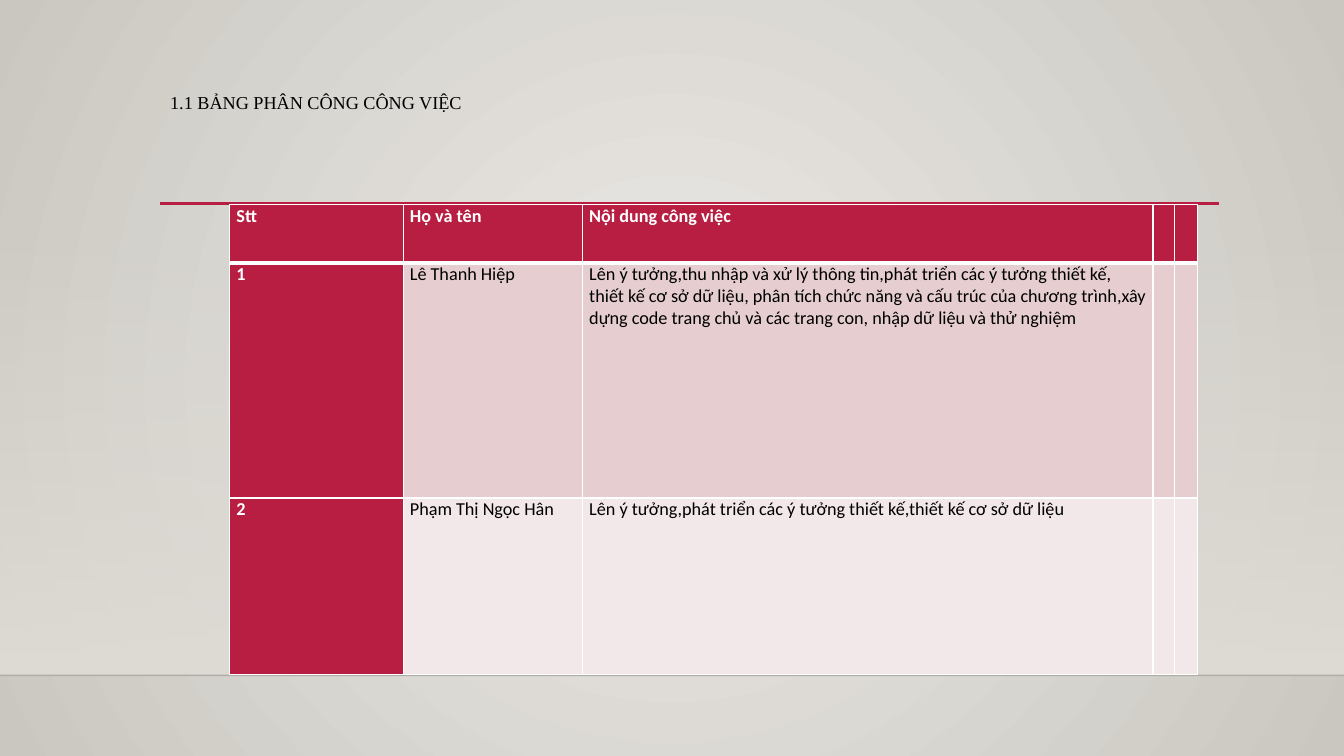
import pptx
import pptx.dml.color
import pptx.enum.shapes
import pptx.enum.text
import pptx.oxml
import pptx.oxml.ns
import pptx.util
from lxml import etree

Cm = pptx.util.Cm
Pt = pptx.util.Pt
qn = pptx.oxml.ns.qn

WIDTH, HEIGHT = 33.87, 19.05
FLOOR = 17.02
CRIMSON, WHITE, BLACK = "B71E42", "FFFFFF", "000000"
BODY_FILLS = ["E6CDCF", "F3E8E9"]
COLUMN_WIDTHS = [4.37, 4.52, 14.38, 0.53, 0.58]
ROW_HEIGHTS = [1.47, 5.92, 4.44]
ASSIGNMENTS = [
    ["Stt", "Họ và tên", "Nội dung công việc"],
    ["1", "Lê Thanh Hiệp",
     "Lên ý tưởng,thu nhập và xử lý thông tin,phát triển các ý tưởng thiết kế, "
     "thiết kế cơ sở dữ liệu, phân tích chức năng và cấu trúc của chương "
     "trình,xây dựng code trang chủ và các trang con, nhập dữ liệu và thử nghiệm"],
    ["2", "Phạm Thị Ngọc Hân",
     "Lên ý tưởng,phát triển các ý tưởng thiết kế,thiết kế cơ sở dữ liệu"],
]


def rgb(color):
    return pptx.dml.color.RGBColor.from_string(color)


def set_opacity(color_element, percent):
    etree.SubElement(color_element, qn("a:alpha"), val=str(percent * 1000))


def set_gradient(fill, start, end):
    fill.gradient()
    for stop, color, position in zip(fill.gradient_stops, (start, end), (0, 1)):
        stop.color.rgb = rgb(color)
        stop.position = position


def add_run(paragraph, text, font_name, color, bold=False):
    run = paragraph.add_run()
    run.text = text
    run.font.name = font_name
    run.font.size = Pt(13)
    run.font.bold = bold
    run.font.color.rgb = rgb(color)


def add_rule(slide, left, top, width, color, weight):
    rule = slide.shapes.add_connector(
        pptx.enum.shapes.MSO_CONNECTOR.STRAIGHT,
        Cm(left), Cm(top), Cm(left + width), Cm(top))
    rule.line.color.rgb = rgb(color)
    rule.line.width = Pt(weight)
    etree.SubElement(rule.element.spPr, qn("a:effectLst"))
    return rule


def paint_background(slide):
    """Radial grey gradient that is lightest in the middle of the slide."""
    fill = slide.background.fill
    set_gradient(fill, "ECEAE7", "CAC7C1")
    linear = next(slide.element.iter(qn("a:lin")))
    radial = etree.Element(qn("a:path"), path="circle")
    etree.SubElement(radial, qn("a:fillToRect"),
                     {side: "50000" for side in "ltrb"})
    linear.getparent().replace(linear, radial)


def add_wall(slide, left, top, width, height):
    """Wash that fades in downwards, closed by a faint floor line."""
    wash = slide.shapes.add_shape(
        pptx.enum.shapes.MSO_SHAPE.RECTANGLE,
        Cm(left), Cm(top), Cm(width), Cm(height))
    wash.shadow.inherit = False
    wash.line.fill.background()
    set_gradient(wash.fill, "DFDBD5", "DFDBD5")
    wash.fill.gradient_angle = 270
    set_opacity(next(wash.element.spPr.iter(qn("a:srgbClr"))), 0)
    floor = add_rule(slide, left, top + height, width, "000001", 1)
    set_opacity(next(floor.element.spPr.iter(qn("a:srgbClr"))), 20)


def add_title(slide, left, top, width, height):
    add_rule(slide, left, top + height - 0.03, width + 0.02, CRIMSON, 2.5)
    box = slide.shapes.add_textbox(Cm(left), Cm(top), Cm(width), Cm(height))
    frame = box.text_frame
    frame.word_wrap = True
    frame.vertical_anchor = pptx.enum.text.MSO_ANCHOR.TOP
    paragraph = frame.paragraphs[0]
    paragraph.line_spacing = 0.9
    add_run(paragraph, "1.1 BẢNG PHÂN CÔNG CÔNG VIỆC", "Times New Roman", BLACK)


def set_borders(cell, weights):
    """Give the cell white borders; weights maps L, R, T, B to points."""
    properties = cell._tc.get_or_add_tcPr()
    for index, (side, weight) in enumerate(weights.items()):
        border = etree.Element(qn(f"a:ln{side}"), w=str(Pt(weight)))
        fill = etree.SubElement(border, qn("a:solidFill"))
        etree.SubElement(fill, qn("a:srgbClr"), val=WHITE)
        properties.insert(index, border)


def add_assignment_table(slide, left, top):
    table = slide.shapes.add_table(
        len(ROW_HEIGHTS), len(COLUMN_WIDTHS), Cm(left), Cm(top),
        Cm(sum(COLUMN_WIDTHS)), Cm(sum(ROW_HEIGHTS))).table
    for column, width in zip(table.columns, COLUMN_WIDTHS):
        column.width = Cm(width)
    for row_index, (row, height) in enumerate(zip(table.rows, ROW_HEIGHTS)):
        row.height = Cm(height)
        texts = ASSIGNMENTS[row_index]
        for column_index, cell in enumerate(row.cells):
            heading = row_index == 0 or column_index == 0
            cell.margin_left = cell.margin_right = Cm(0.17)
            cell.margin_top = cell.margin_bottom = 0
            cell.fill.solid()
            cell.fill.fore_color.rgb = rgb(
                CRIMSON if heading else BODY_FILLS[row_index - 1])
            set_borders(cell, {"L": 1, "R": 1,
                               "T": 3 if row_index == 1 else 1,
                               "B": 3 if row_index == 0 else 1})
            if column_index < len(texts):
                add_run(cell.text_frame.paragraphs[0], texts[column_index],
                        "Calibri", WHITE if heading else BLACK, heading)


def main():
    presentation = pptx.Presentation()
    presentation.slide_width = Cm(WIDTH)
    presentation.slide_height = Cm(HEIGHT)
    slide = presentation.slides.add_slide(presentation.slide_layouts[6])
    paint_background(slide)
    add_wall(slide, 0, 5.62, WIDTH, FLOOR - 5.62)
    add_title(slide, 4.04, 2.24, 26.67, 2.92)
    add_assignment_table(slide, 5.79, 5.16)
    presentation.save("out.pptx")


if __name__ == "__main__":
    main()
